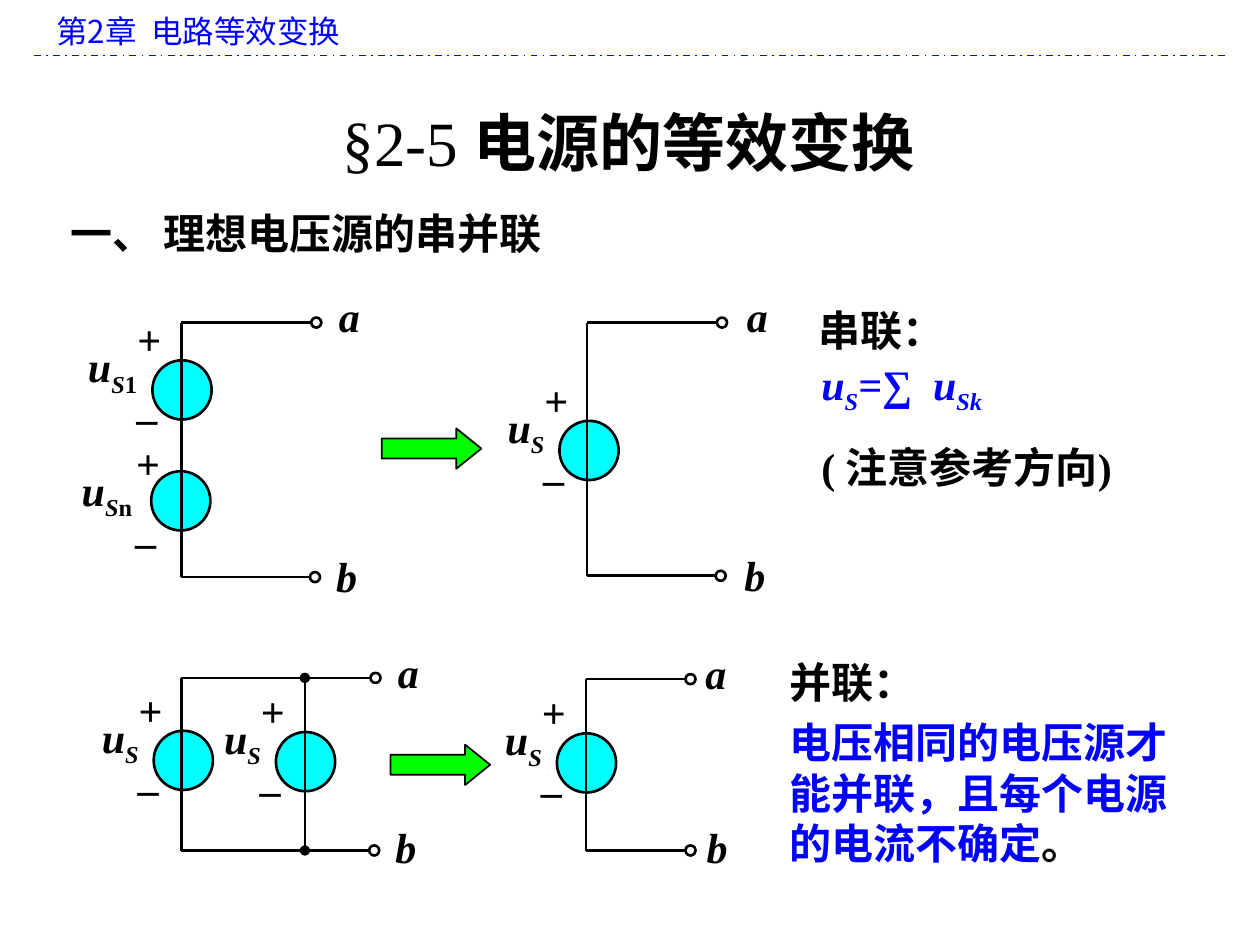
from dataclasses import dataclass
from typing import NamedTuple

import pptx
import pptx.util
import pptx.dml.color
import pptx.enum.dml
import pptx.enum.shapes
import pptx.enum.text
import pptx.oxml
import pptx.oxml.ns

PX = 9144  # 100 px to the inch
HUES = {"ink": "000000", "blue": "0000FF", "cyan": "00FFFF", "green": "00FF00"}
LATIN, HAN = "Times New Roman", "Noto Sans CJK SC"
KIND = pptx.enum.shapes.MSO_SHAPE
ALIGN = pptx.enum.text.PP_ALIGN
ANCHOR = pptx.enum.text.MSO_ANCHOR


class Run(NamedTuple):
    text: str
    hue: str = "ink"
    bold: bool = True
    ital: bool = False
    sub: bool = False


class Port(NamedTuple):
    name: str
    x: int
    y: int
    gap: int
    lift: int


@dataclass
class Source:
    """A voltage source; drop lowers its name and signs."""
    x: int
    y: int
    tail: str = ""
    dx: int = -51
    wide: int = 60
    drop: int = 0


@dataclass
class Loop:
    x: int
    cells: list[Source]
    ports: list[Port]
    branch: int = 0


def rgb(hue: str):
    return pptx.dml.color.RGBColor.from_string(HUES[hue])


def add_part(root, tag: str, **attrs: str) -> None:
    part = pptx.oxml.parse_xml(f"<{tag} {pptx.oxml.ns.nsdecls('a')}/>")
    for key, val in attrs.items():
        part.set(key, val)
    root.append(part)


def write(box, *paras: list[Run], size: int = 24, font: str = LATIN,
          align=ALIGN.LEFT, anchor=ANCHOR.TOP, wrap: bool = True, gap: int = 0) -> None:
    frame = box.text_frame
    frame.word_wrap = wrap
    frame.vertical_anchor = anchor
    frame.auto_size = pptx.enum.text.MSO_AUTO_SIZE.SHAPE_TO_FIT_TEXT
    for n, runs in enumerate(paras):
        para = frame.add_paragraph() if n else frame.paragraphs[0]
        para.alignment = align
        para.line_spacing = pptx.util.Pt(size * 1.2)
        para.space_before = pptx.util.Pt(gap if n else 0)
        for item in runs:
            run = para.add_run()
            run.text = item.text
            run.font.size = pptx.util.Pt(size)
            run.font.bold, run.font.italic = item.bold, item.ital
            run.font.color.rgb = rgb(item.hue)
            run.font.name = font
            props = run._r.get_or_add_rPr()
            add_part(props, "a:ea", typeface=HAN)
            if item.sub:
                props.set("baseline", "-25000")


def text(slide, x: int, y: int, w: int, h: int, *paras: list[Run], **form) -> None:
    box = slide.shapes.add_textbox(x * PX, y * PX, w * PX, h * PX)
    write(box, *paras, **form)


def shape(slide, kind, x: int, y: int, w: int, h: int, fill: str = "", line: float = 1.5):
    item = slide.shapes.add_shape(kind, x * PX, y * PX, w * PX, h * PX)
    item.shadow.inherit = False
    if fill:
        item.fill.solid()
        item.fill.fore_color.rgb = rgb(fill)
    else:
        item.fill.background()
    item.line.color.rgb = rgb("ink")
    item.line.width = pptx.util.Pt(line)
    return item


def wire(slide, x1: int, y1: int, x2: int, y2: int, hue: str = "ink", width: float = 1.5):
    link = slide.shapes.add_connector(
        pptx.enum.shapes.MSO_CONNECTOR.STRAIGHT, x1 * PX, y1 * PX, x2 * PX, y2 * PX)
    link.line.color.rgb = rgb(hue)
    link.line.width = pptx.util.Pt(width)
    add_part(link._element.spPr, "a:effectLst")
    return link


def draw_cell(slide, cell: Source) -> None:
    shape(slide, KIND.OVAL, cell.x, cell.y, 47, 47, "cyan")
    y = cell.y + cell.drop
    name = [Run("u", ital=True), Run("S", ital=True, sub=True)]
    if cell.tail:
        name.append(Run(cell.tail, sub=True))
    text(slide, cell.x + cell.dx, y - 15, cell.wide, 50, name)
    mid = {"align": ALIGN.CENTER, "anchor": ANCHOR.MIDDLE}
    text(slide, cell.x - 22, y - 42, 39, 50, [Run("+")], wrap=False, **mid)
    text(slide, cell.x - 23, y + 9, 37, 50, [Run("_")], **mid)


def draw_loop(slide, loop: Loop) -> None:
    for cell in loop.cells:
        draw_cell(slide, cell)
    top, low = (port.y for port in loop.ports)
    wire(slide, loop.x, top, loop.x, low)
    if loop.branch:
        branch = wire(slide, loop.branch, top, loop.branch, low)
        line = branch._element.spPr.get_or_add_ln()
        for tag in ("a:headEnd", "a:tailEnd"):
            add_part(line, tag, type="oval")
    for port in loop.ports:
        wire(slide, loop.x, port.y, port.x, port.y)
        shape(slide, KIND.OVAL, port.x, port.y - 4, 8, 8)
        text(slide, port.x + port.gap, port.y - port.lift, 51, 50,
             [Run(port.name, ital=True)])


LOOPS = [
    Loop(144, [Source(120, 374, "n", -65, 75, 10), Source(121, 286, "1", -61, 83)],
         [Port("a", 247, 256, 12, 30), Port("b", 246, 458, 11, 26)]),
    Loop(466, [Source(444, 334)],
         [Port("a", 569, 256, 14, 30), Port("b", 568, 457, 13, 26)]),
    Loop(144, [Source(122, 580), Source(219, 581)],
         [Port("a", 294, 538, 12, 30), Port("b", 293, 675, 11, 28)], 242),
    Loop(465, [Source(442, 582)],
         [Port("a", 544, 539, 6, 30), Port("b", 544, 675, 7, 28)]),
]


def main() -> None:
    deck = pptx.Presentation()
    deck.slide_width, deck.slide_height = 1000 * PX, 750 * PX
    slide = deck.slides.add_slide(deck.slide_layouts[5])

    text(slide, 35, 5, 937, 40, [Run("第2章  电路等效变换", "blue", False)],
         size=18, font=HAN)
    rule = wire(slide, 27, 44, 972, 44, "blue", 1)
    rule.line.dash_style = pptx.enum.dml.MSO_LINE.DASH_DOT

    title = slide.shapes.title
    title.left, title.top, title.width, title.height = (
        v * PX for v in (46, 77, 906, 70))
    write(title, [Run("§2-5 ", bold=False), Run("电源的等效变换")],
          size=36, align=ALIGN.CENTER)

    text(slide, 46, 160, 906, 50, [Run("一、 理想电压源的串并联")])
    text(slide, 640, 237, 306, 50, [Run("串联：")])
    text(slide, 642, 285, 292, 110,
         [Run("u", "blue", ital=True), Run("S", "blue", ital=True, sub=True),
          Run("=", "blue", ital=True), Run("∑  ", "blue"),
          Run("u", "blue", ital=True), Run("Sk", "blue", ital=True, sub=True)],
         [Run("( 注意参考方向)")], gap=15)
    text(slide, 617, 516, 298, 50, [Run("并联：")])
    text(slide, 617, 564, 324, 130,
         [Run("电压相同的电压源才能并联，且每个电源的电流不确定", "blue"), Run("。")])

    for x, y in ((303, 340), (310, 591)):
        arrow = shape(slide, KIND.RIGHT_ARROW, x, y, 79, 32, "green", 1)
        arrow.adjustments[0], arrow.adjustments[1] = 0.5, 0.62
    for loop in LOOPS:
        draw_loop(slide, loop)
    deck.save("out.pptx")


if __name__ == "__main__":
    main()
